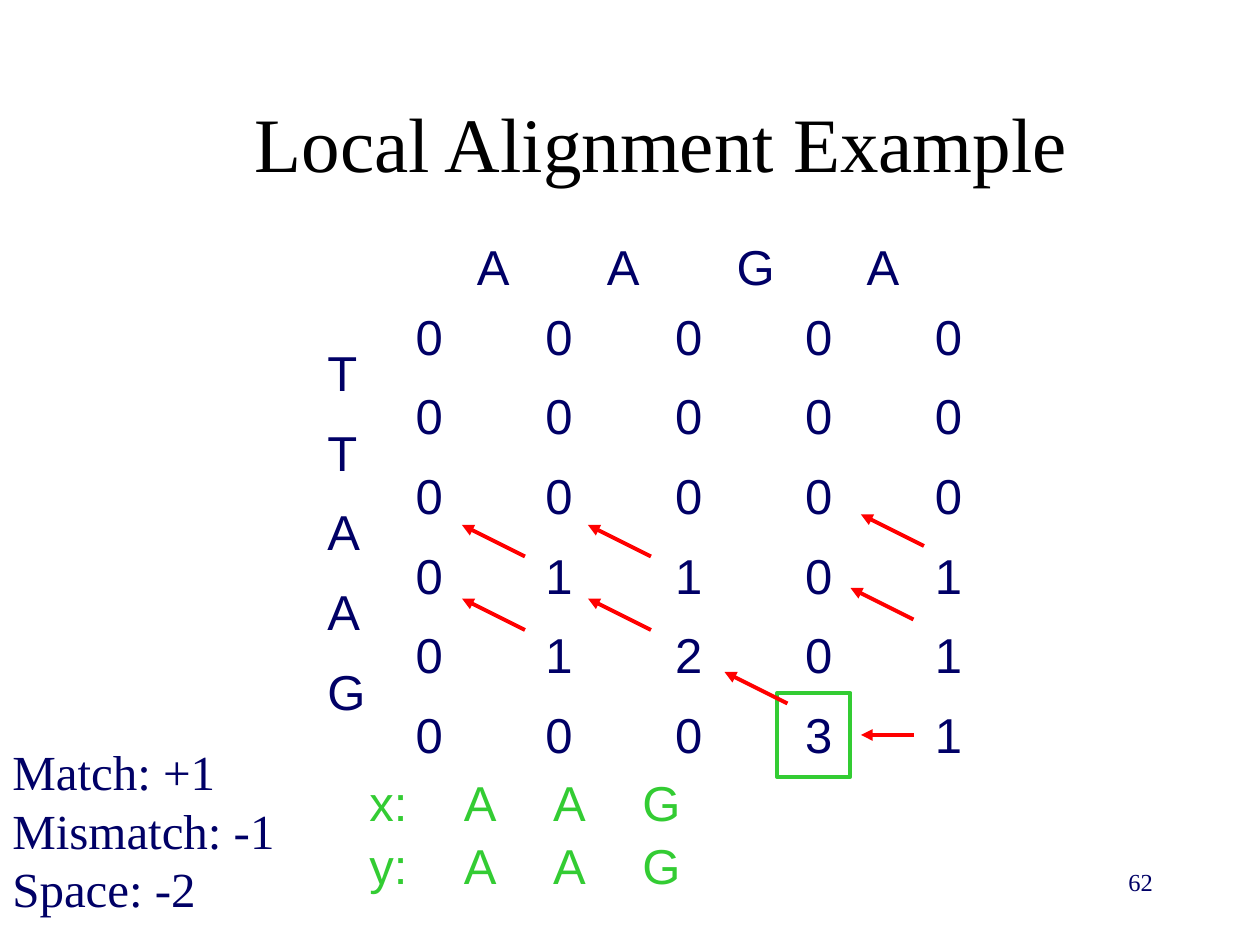
from dataclasses import dataclass
from typing import NamedTuple

from lxml.etree import SubElement
from pptx import Presentation
from pptx.dml.color import RGBColor
from pptx.enum.shapes import MSO_CONNECTOR, MSO_SHAPE
from pptx.enum.text import MSO_ANCHOR, MSO_AUTO_SIZE, PP_ALIGN
from pptx.oxml.ns import qn
from pptx.util import Pt


@dataclass(frozen=True)
class Theme:
    black: RGBColor = RGBColor(0x00, 0x00, 0x00)
    navy: RGBColor = RGBColor(0x00, 0x00, 0x66)
    green: RGBColor = RGBColor(0x33, 0xCC, 0x33)
    red: RGBColor = RGBColor(0xFF, 0x00, 0x00)
    serif: str = "Times New Roman"
    sans: str = "Arial"
    title: float = 44
    body: float = 28
    number: float = 14
    line: float = 2.25


class Box(NamedTuple):
    x: float
    y: float
    w: float
    h: float


class Arrow(NamedTuple):
    x: float
    y: float
    dx: float = -36
    dy: float = -18


T = Theme()
CELL_H = 41.2
WIDTHS = {"T": 31.5, "A": 33, "G": 36, "x:": 36, "y:": 36}
DIGIT_W = 30
COL, ROW = 74.2, 45.5
GRID_X, GRID_Y = 230.4, 171.5
PAIR_X, PAIR_Y, PAIR_COL, PAIR_ROW = 258, 438, 51, 36

ACROSS = "AAGA"
DOWN = "TTAAG"
SCORES = ["00000", "00000", "00000", "01101", "01201", "00031"]
ALIGNMENT = {"x:": "AAG", "y:": "AAG"}
ARROWS = [
    Arrow(300, 318),
    Arrow(372, 318),
    Arrow(300, 360),
    Arrow(372, 360),
    Arrow(450, 402),
    Arrow(528, 312),
    Arrow(522, 354),
    Arrow(522, 420, -30, 0),
]


def format_text(tf, font: str, size: float, color: RGBColor, align: PP_ALIGN) -> None:
    for p in tf.paragraphs:
        p.alignment = align
        for r in p.runs:
            r.font.name = font
            r.font.size = Pt(size)
            r.font.color.rgb = color


def place(sp, box: Box) -> None:
    sp.left, sp.top, sp.width, sp.height = map(Pt, box)


def add_text(s, box: Box, text: str, font: str, size: float, color: RGBColor,
             align: PP_ALIGN = PP_ALIGN.LEFT, wrap: bool = False) -> None:
    tf = s.shapes.add_textbox(*map(Pt, box)).text_frame
    tf.text = text
    tf.word_wrap = wrap
    tf.auto_size = MSO_AUTO_SIZE.NONE if wrap else MSO_AUTO_SIZE.SHAPE_TO_FIT_TEXT
    format_text(tf, font, size, color, align)


def add_symbol(s, x: float, y: float, text: str, color: RGBColor = T.navy) -> None:
    box = Box(x, y, WIDTHS.get(text, DIGIT_W), CELL_H)
    add_text(s, box, text, T.sans, T.body, color)


def add_arrow(s, a: Arrow) -> None:
    ends = map(Pt, (a.x, a.y, a.x + a.dx, a.y + a.dy))
    sp = s.shapes.add_connector(MSO_CONNECTOR.STRAIGHT, *ends)
    sp.line.color.rgb = T.red
    sp.line.width = Pt(T.line)
    SubElement(sp.line._get_or_add_ln(), qn("a:tailEnd"), type="triangle")
    SubElement(sp._element.spPr, qn("a:effectLst"))


def add_frame(s, box: Box) -> None:
    sp = s.shapes.add_shape(MSO_SHAPE.RECTANGLE, *map(Pt, box))
    sp.shadow.inherit = False
    sp.fill.background()
    sp.line.color.rgb = T.green
    sp.line.width = Pt(T.line)


def add_title(s, text: str) -> None:
    sp = s.shapes.title
    place(sp, Box(72, 36, 612, 90))
    tf = sp.text_frame
    tf.text = text
    tf.vertical_anchor = MSO_ANCHOR.MIDDLE
    format_text(tf, T.serif, T.title, T.black, PP_ALIGN.CENTER)


def add_matrix(s) -> None:
    for i, letter in enumerate(DOWN):
        add_symbol(s, 180, 192.2 + i * ROW, letter)
    for j, letter in enumerate(ACROSS):
        add_symbol(s, 265.5 + j * COL, 131.8, letter)
    for i, row in enumerate(SCORES):
        for j, score in enumerate(row):
            add_symbol(s, GRID_X + j * COL, GRID_Y + i * ROW, score)


def add_alignment(s) -> None:
    for i, (name, letters) in enumerate(ALIGNMENT.items()):
        y = PAIR_Y + i * PAIR_ROW
        add_symbol(s, 204, y, name, T.green)
        for j, letter in enumerate(letters):
            add_symbol(s, PAIR_X + j * PAIR_COL, y, letter, T.green)


def main() -> None:
    prs = Presentation()
    prs.slide_width, prs.slide_height = Pt(720), Pt(540)
    s = prs.slides.add_slide(prs.slide_layouts[5])
    add_title(s, "Local Alignment Example")
    add_matrix(s)
    add_frame(s, Box(444, 396, 42, 48))
    add_alignment(s)
    for arrow in ARROWS:
        add_arrow(s, arrow)
    add_text(s, Box(0, 420, 166, 109), "Match: +1\nMismatch: -1\nSpace: -2",
             T.serif, T.body, T.navy)
    add_text(s, Box(516, 492, 150, 36), "62", T.serif, T.number, T.navy,
             PP_ALIGN.RIGHT, True)
    prs.save("out.pptx")


if __name__ == "__main__":
    main()
